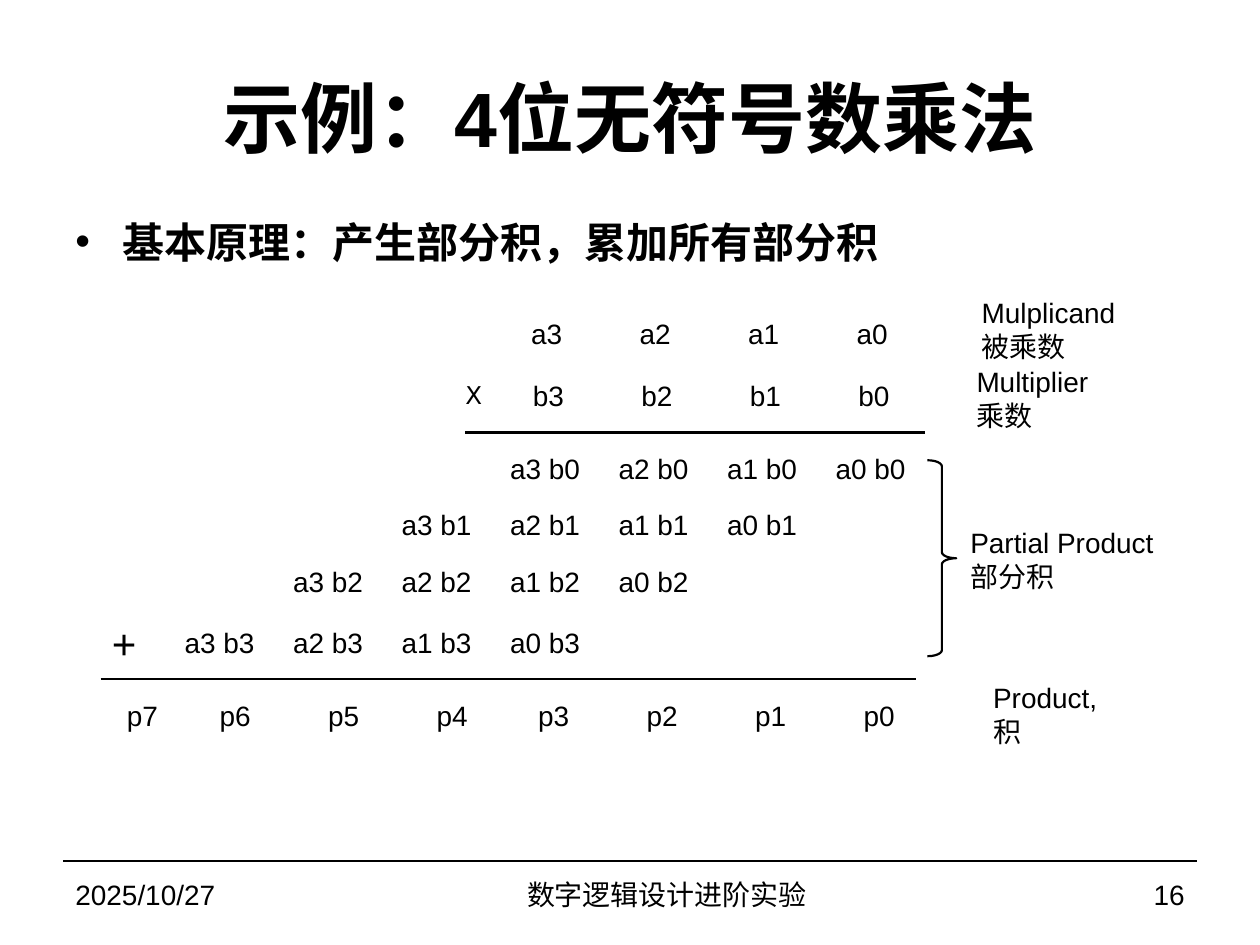
"""Build a slide explaining 4-bit unsigned multiplication by partial products."""
import pptx
import pptx.dml.color
import pptx.enum.shapes
import pptx.enum.text
import pptx.oxml
import pptx.oxml.ns
import pptx.util

Pt = pptx.util.Pt
ALIGN = pptx.enum.text.PP_ALIGN
BLACK = pptx.dml.color.RGBColor(0, 0, 0)
COLUMN, ROW_HEIGHT = 62, 22

TITLE = "示例：4位无符号数乘法"
PRINCIPLE = "基本原理：产生部分积，累加所有部分积"
OPERANDS = [("a", 303.5, 190.5), ("b", 304.5, 226)]
PARTIAL_LEFT = 291.5
PARTIAL_CENTERS = [267.5, 299.5, 332, 367]
PRODUCT_LEFT, PRODUCT_CENTER = 72.5, 408.5
PRODUCT_STOPS = [53, 115, 177, 235, 297, 359, 421]
OPERATORS = [("Ⅹ", 266, 225.5, 14), ("+", 64, 367, 24)]
LABELS = [
    ("Mulplicand 被乘数", 561, 188, 92),
    ("Multiplier乘数", 558, 227.5, 76),
    ("Partial Product\n部分积", 554.5, 319.5, 125),
    ("Product, 积", 567.5, 408, 74),
]
RULES = [(36, 684, 492, 0.75), (266, 528.5, 247, 1.5), (57.5, 523.5, 388, 1.5)]
FOOTER = [
    ("2025/10/27", 36, 168, ALIGN.LEFT),
    ("数字逻辑设计进阶实验", 204, 354, ALIGN.CENTER),
    ("16", 558, 126, ALIGN.RIGHT),
]


def add_child(parent, tag, **attributes):
    """Append a DrawingML element with the given attributes."""
    child = pptx.oxml.parse_xml(f"<a:{tag} {pptx.oxml.ns.nsdecls('a')}/>")
    for name, value in attributes.items():
        child.set(name, str(value))
    parent.append(child)
    return child


def write(sp, text, size=16, font="Arial", bold=False, align=ALIGN.LEFT,
          inset=(0, 0), anchor=pptx.enum.text.MSO_ANCHOR.MIDDLE,
          bullet=None, stops=()):
    """Fill a shape with formatted text, one paragraph per line."""
    tf = sp.text_frame
    tf.word_wrap = True
    tf.auto_size = pptx.enum.text.MSO_AUTO_SIZE.NONE
    tf.vertical_anchor = anchor
    tf.margin_left = tf.margin_right = Pt(inset[0])
    tf.margin_top = tf.margin_bottom = Pt(inset[1])
    tf.text = text
    for p in tf.paragraphs:
        p.alignment = align
        pPr = p._p.get_or_add_pPr()
        if bullet:
            pPr.set("marL", str(Pt(27)))
            pPr.set("indent", str(-Pt(27)))
            add_child(pPr, "buFont", typeface="Arial")
            add_child(pPr, "buChar", char=bullet)
        if stops:
            tabs = add_child(pPr, "tabLst")
            for stop in stops:
                add_child(tabs, "tab", pos=Pt(stop), algn="l")
        for r in p.runs:
            r.font.size, r.font.name, r.font.bold = Pt(size), font, bold
            r.font.color.rgb = BLACK


def add_text(s, text, left, top, width, height, **style):
    """Add a text box and write into it."""
    sp = s.shapes.add_textbox(Pt(left), Pt(top), Pt(width), Pt(height))
    write(sp, text, **style)


def add_row(s, terms, left, center, stops):
    """Add one line of the multiplication, aligned on tab stops."""
    add_text(s, "\t".join(terms), left, center - ROW_HEIGHT / 2,
             stops[-1] + COLUMN, ROW_HEIGHT, stops=stops)


def add_rule(s, left, right, y, weight):
    """Add a horizontal black line."""
    line = s.shapes.add_connector(pptx.enum.shapes.MSO_CONNECTOR.STRAIGHT,
                                  Pt(left), Pt(y), Pt(right), Pt(y))
    line.line.color.rgb = BLACK
    line.line.width = Pt(weight)
    add_child(line._element.spPr, "effectLst")


def main():
    """Assemble and save the slide."""
    prs = pptx.Presentation()
    prs.slide_width, prs.slide_height = Pt(720), Pt(540)
    s = prs.slides.add_slide(prs.slide_layouts[5])

    title = s.shapes.title
    title.left, title.top, title.width, title.height = map(Pt, (36, 21.6, 648, 90))
    write(title, TITLE, size=44, bold=True, align=ALIGN.CENTER, inset=(7.2, 3.6))
    add_text(s, PRINCIPLE, 36, 120, 635, 83.5, size=24, font="Times New Roman",
             bold=True, inset=(7.2, 3.6), bullet="•",
             anchor=pptx.enum.text.MSO_ANCHOR.TOP)

    bits = range(3, -1, -1)
    stops = [COLUMN * i for i in range(1, 4)]
    for name, left, center in OPERANDS:
        add_row(s, [f"{name}{i}" for i in bits], left, center, stops)
    for j, center in enumerate(PARTIAL_CENTERS):
        add_row(s, [f"a{i} b{j}" for i in bits], PARTIAL_LEFT - COLUMN * j,
                center, stops)
    add_row(s, [f"p{i}" for i in range(7, -1, -1)], PRODUCT_LEFT,
            PRODUCT_CENTER, PRODUCT_STOPS)

    for text, left, center, size in OPERATORS:
        add_text(s, text, left, center - 14, 20, 28, size=size)
    for text, left, center, width in LABELS:
        add_text(s, text, left, center - 20, width, 40)
    for rule in RULES:
        add_rule(s, *rule)

    brace = s.shapes.add_shape(pptx.enum.shapes.MSO_SHAPE.RIGHT_BRACE,
                               Pt(530), Pt(263), Pt(16.5), Pt(112))
    brace.shadow.inherit = False
    brace.adjustments[0], brace.adjustments[1] = 0.21, 0.5
    brace.fill.background()
    brace.line.color.rgb = BLACK
    brace.line.width = Pt(1.25)

    for text, left, width, align in FOOTER:
        add_text(s, text, left, 492, width, 37.5, align=align, inset=(7.2, 3.6))
    prs.save("out.pptx")


if __name__ == "__main__":
    main()
